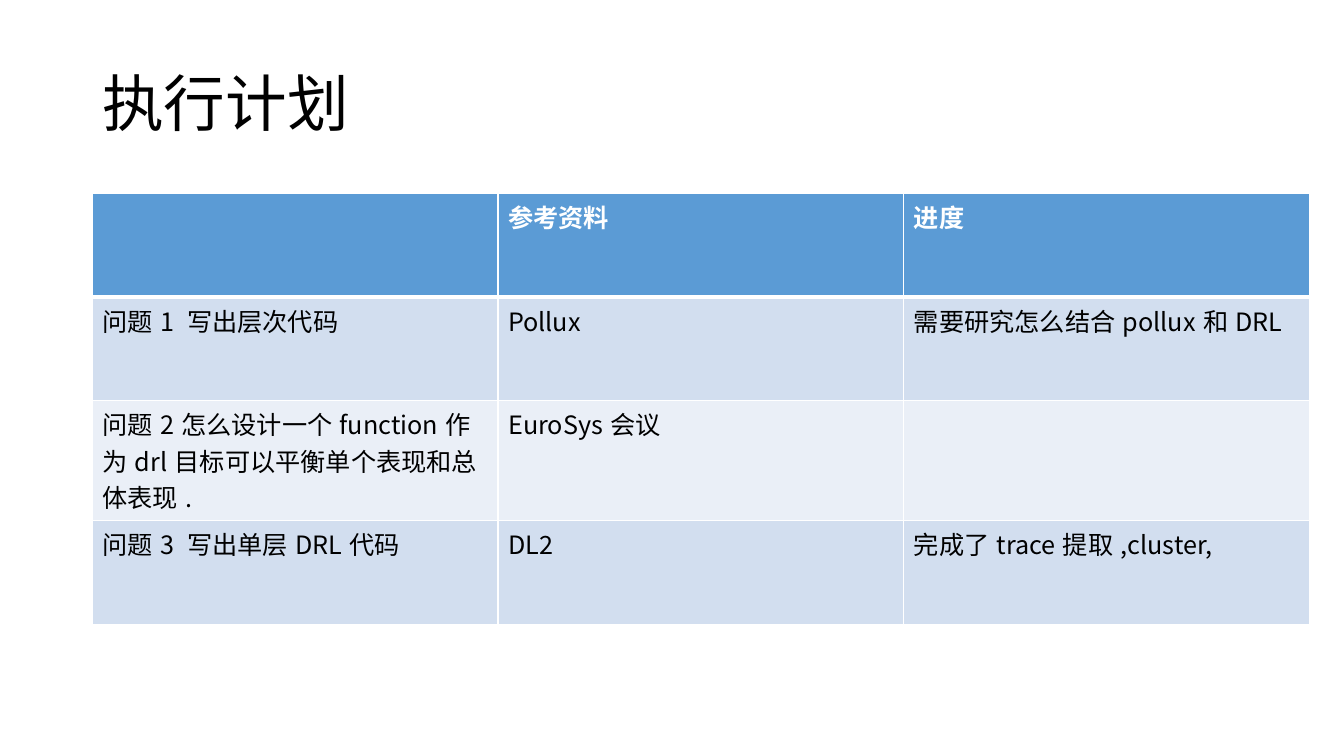
"""Build the execution plan slide with its progress table."""
from dataclasses import dataclass

from pptx import Presentation
from pptx.dml.color import RGBColor as RGB
from pptx.enum.text import MSO_ANCHOR as Anchor
from pptx.oxml import parse_xml
from pptx.oxml.ns import nsdecls
from pptx.util import Pt


@dataclass(frozen=True)
class Theme:
    font: str = "Noto Sans CJK SC"
    ink: str = "000000"
    white: str = "FFFFFF"
    head: str = "5B9BD5"
    bands: tuple = ("EAEFF7", "D2DEEF")
    title: int = 44
    body: int = 18


theme = Theme()


def write(para, text, size, color, bold=False):
    run = para.add_run()
    run.text = text
    font = run.font
    font.name, font.size, font.bold = theme.font, Pt(size), bold
    font.color.rgb = RGB.from_string(color)
    face = parse_xml(f'<a:ea {nsdecls("a")} typeface="{theme.font}"/>')
    run._r.get_or_add_rPr().find("{*}latin").addnext(face)


def edge(cell, side, width):
    line = parse_xml(
        f'<a:ln{side} {nsdecls("a")} w="{Pt(width)}"><a:solidFill>'
        f'<a:srgbClr val="{theme.white}"/></a:solidFill></a:ln{side}>')
    cell._tc.get_or_add_tcPr().append(line)


deck = Presentation()
deck.slide_width, deck.slide_height = Pt(960), Pt(540)
slide = deck.slides.add_slide(deck.slide_layouts[6])

title = slide.shapes.add_textbox(Pt(66), Pt(24), Pt(828), Pt(104)).text_frame
title.word_wrap = True
title.vertical_anchor = Anchor.MIDDLE
title.paragraphs[0].line_spacing = 0.9
write(title.paragraphs[0], "执行计划", theme.title, theme.ink)

plan = [
    ("", "参考资料", "进度"),
    ("问题1 写出层次代码", "Pollux", "需要研究怎么结合pollux和DRL"),
    ("问题2怎么设计一个function作为drl目标可以平衡单个表现和总体表现.", "EuroSys会议", ""),
    ("问题3 写出单层DRL代码", "DL2", "完成了trace提取,cluster, "),
]
heights = [74, 74, 86, 74]
wide = 289.8
table = slide.shapes.add_table(
    len(plan), 3, Pt(66), Pt(138), Pt(3 * wide), Pt(sum(heights))).table
for col in table.columns:
    col.width = Pt(wide)

for i, (texts, height) in enumerate(zip(plan, heights)):
    table.rows[i].height = Pt(height)
    top = i == 0
    fill = theme.head if top else theme.bands[i % 2]
    color = theme.white if top else theme.ink
    for j, text in enumerate(texts):
        cell = table.cell(i, j)
        widths = {"L": 1, "R": 1, "T": 3 if i == 1 else 1, "B": 3 if top else 1}
        for side, width in widths.items():
            edge(cell, side, width)
        cell.fill.solid()
        cell.fill.fore_color.rgb = RGB.from_string(fill)
        if text:
            write(cell.text_frame.paragraphs[0], text, theme.body, color, top)

deck.save("out.pptx")
